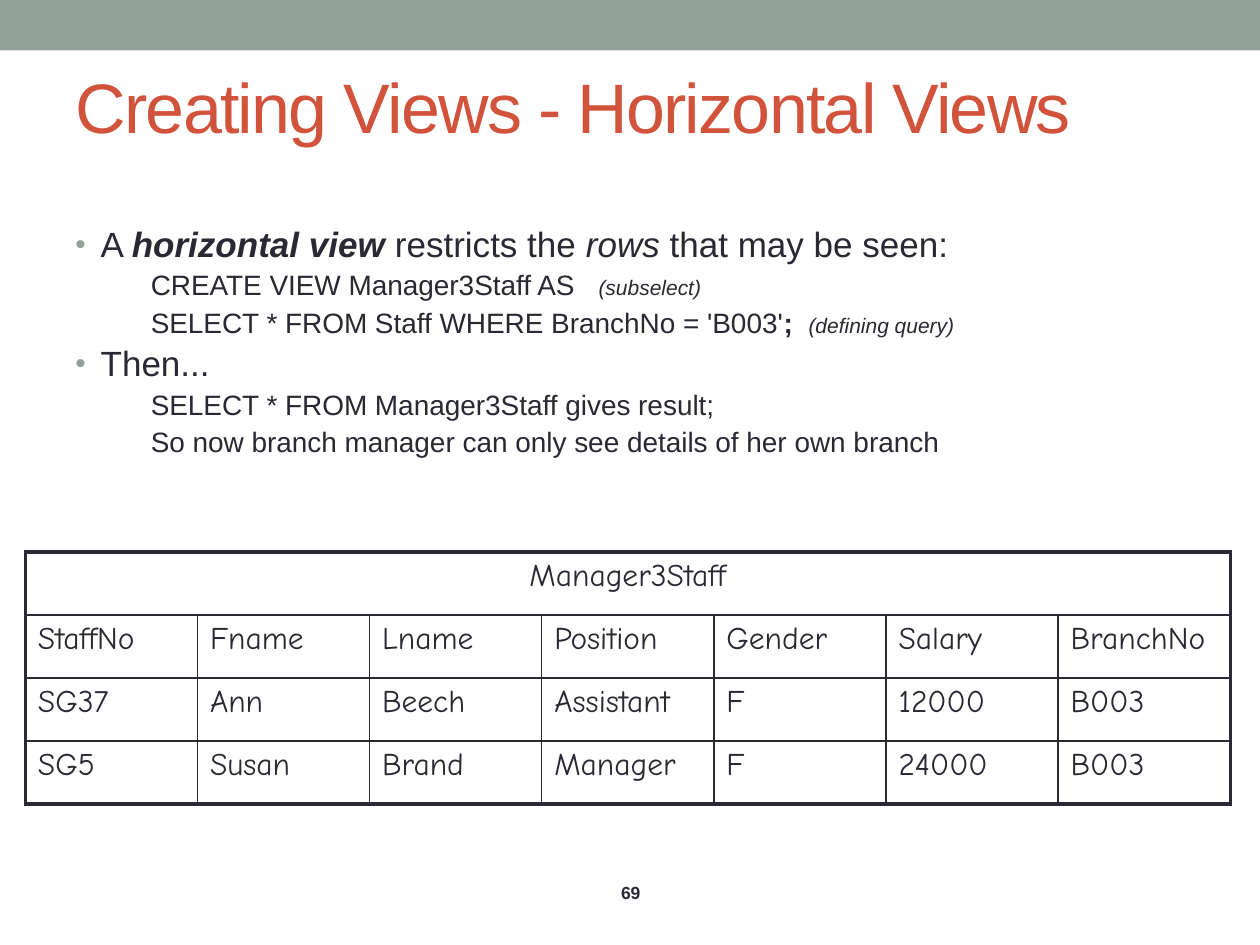
from dataclasses import dataclass
from itertools import product

from lxml.etree import SubElement
from pptx import Presentation
from pptx.dml.color import RGBColor as Rgb
from pptx.enum.shapes import MSO_SHAPE as Preset
from pptx.enum.text import MSO_ANCHOR as Anchor, PP_ALIGN as Align
from pptx.oxml.ns import qn
from pptx.slide import Slide
from pptx.util import Cm, Pt

COLORS = {"text": "292934", "title": "D2533C", "accent": "93A299"}

HEADING = {"size": Pt(20)}
DETAIL = {"size": Pt(16)}
REMARK = {"size": Pt(12), "italic": True}
STRONG = {"bold": True}
EMPHASIS = {"italic": True}

BODY = [
    (True, [("A ", {}), ("horizontal view ", STRONG | EMPHASIS), ("restricts the ", {}),
            ("rows", EMPHASIS), (" that may be seen:", {})]),
    (False, [("CREATE VIEW Manager3Staff AS", {}), (" ", {"tracking": 9}),
             ("(subselect)", REMARK)]),
    (False, [("SELECT * FROM Staff WHERE BranchNo = 'B003'", {}), (";", STRONG),
             (" ", STRONG | {"tracking": 4.5}), ("(defining query)", REMARK)]),
    (True, [("Then...", {})]),
    (False, [("SELECT * FROM Manager3Staff gives result;", {})]),
    (False, [("So now branch manager can only see details of her own branch", {})]),
]

STAFF = [
    ["StaffNo", "Fname", "Lname", "Position", "Gender", "Salary", "BranchNo"],
    ["SG37", "Ann", "Beech", "Assistant", "F", "12000", "B003"],
    ["SG5", "Susan", "Brand", "Manager", "F", "24000", "B003"],
]


@dataclass
class SlideWriter:
    page: Slide
    text_font: str = "Arial"
    table_font: str = "Comic Neue"
    thin: float = 1
    thick: float = 2.25

    def span(self, para, text, color="text", tracking=0, **values):
        span = para.add_run()
        span.text = text
        for name, value in ({"name": self.text_font} | values).items():
            setattr(span.font, name, value)
        span.font.color.rgb = Rgb.from_string(COLORS[color])
        if tracking:
            span.font._element.set("spc", str(int(tracking * 100)))

    def bar(self, left, top, width, height):
        bar = self.page.shapes.add_shape(
            Preset.RECTANGLE, Cm(left), Cm(top), Cm(width), Cm(height))
        bar.shadow.inherit = False
        bar.fill.solid()
        bar.fill.fore_color.rgb = Rgb.from_string(COLORS["accent"])
        bar.line.fill.background()

    def title(self, text, left, top, width, height):
        title = self.page.shapes.title
        places = {"left": left, "top": top, "width": width, "height": height}
        for name, value in places.items():
            setattr(title, name, Cm(value))
        title.text_frame.vertical_anchor = Anchor.MIDDLE
        para = title.text_frame.paragraphs[0]
        para.alignment = Align.LEFT
        self.span(para, text, "title", -1, size=Pt(40))

    def text_box(self, left, top, width, height, anchor=Anchor.TOP):
        box = self.page.shapes.add_textbox(Cm(left), Cm(top), Cm(width), Cm(height))
        box.text_frame.word_wrap = True
        box.text_frame.vertical_anchor = anchor
        return box.text_frame

    def page_number(self, text, *place):
        para = self.text_box(*place, anchor=Anchor.MIDDLE).paragraphs[0]
        para.alignment = Align.CENTER
        self.span(para, text, size=Pt(10), bold=True)

    def bullet(self, para):
        layout = para._p.get_or_add_pPr()
        color = SubElement(layout, qn("a:buClr"))
        SubElement(color, qn("a:srgbClr"), val=COLORS["accent"])
        SubElement(layout, qn("a:buSzPct"), val="85000")
        SubElement(layout, qn("a:buFont"), typeface=self.text_font)
        SubElement(layout, qn("a:buChar"), char="•")

    def outline(self, items, *place):
        frame = self.text_box(*place)
        for index, (is_heading, spans) in enumerate(items):
            para = frame.add_paragraph() if index else frame.paragraphs[0]
            para.line_spacing = 0.9
            para.space_before = Pt(4 if index else 0)
            para.level = 0 if is_heading else 1
            layout = para._p.get_or_add_pPr()
            layout.set("marL", str(Cm(0.51 if is_heading else 2.03)))
            layout.set("indent", str(Cm(-0.51)))
            if is_heading:
                self.bullet(para)
            base = HEADING if is_heading else DETAIL
            for text, values in spans:
                self.span(para, text, **(base | values))

    def cell(self, cell, widths):
        layout = cell._tc.get_or_add_tcPr()
        for side, width in widths.items():
            line = SubElement(layout, qn(f"a:ln{side}"), w=str(Pt(width)))
            fill = SubElement(line, qn("a:solidFill"))
            SubElement(fill, qn("a:srgbClr"), val=COLORS["text"])
        cell.fill.background()

    def table(self, caption, rows, left, top, column_width, row_height):
        row_count, column_count = len(rows) + 1, len(rows[0])
        table = self.page.shapes.add_table(
            row_count, column_count, Cm(left), Cm(top),
            Cm(column_width * column_count), Cm(row_height * row_count)).table
        table.first_row = table.horz_banding = False
        for column in table.columns:
            column.width = Cm(column_width)
        for row in table.rows:
            row.height = Cm(row_height)
        table.cell(0, 0).merge(table.cell(0, column_count - 1))
        for row, column in product(range(row_count), range(column_count)):
            outer = {"L": column == 0, "R": row == 0 or column == column_count - 1,
                     "T": row == 0, "B": row == row_count - 1}
            cell = table.cell(row, column)
            self.cell(cell, {side: self.thick if edge else self.thin
                             for side, edge in outer.items()})
            if cell.is_spanned:
                continue
            para = cell.text_frame.paragraphs[0]
            para.alignment = Align.LEFT if row else Align.CENTER
            text = rows[row - 1][column] if row else caption
            self.span(para, text, size=Pt(18), name=self.table_font)


def main():
    deck = Presentation()
    deck.slide_width, deck.slide_height = Cm(25.4), Cm(19.05)
    writer = SlideWriter(deck.slides.add_slide(deck.slide_layouts[5]))
    writer.bar(0, 0, 25.4, 1.02)
    writer.title("Creating Views - Horizontal Views", 1.27, 0.33, 20.96, 3.61)
    writer.outline(BODY, 1.27, 4.45, 22.83, 5.49)
    writer.table("Manager3Staff", STAFF, 0.51, 11.13, 3.47, 1.27)
    writer.page_number("69", 8.69, 17.35, 8.05, 1.27)
    deck.save("out.pptx")


if __name__ == "__main__":
    main()
